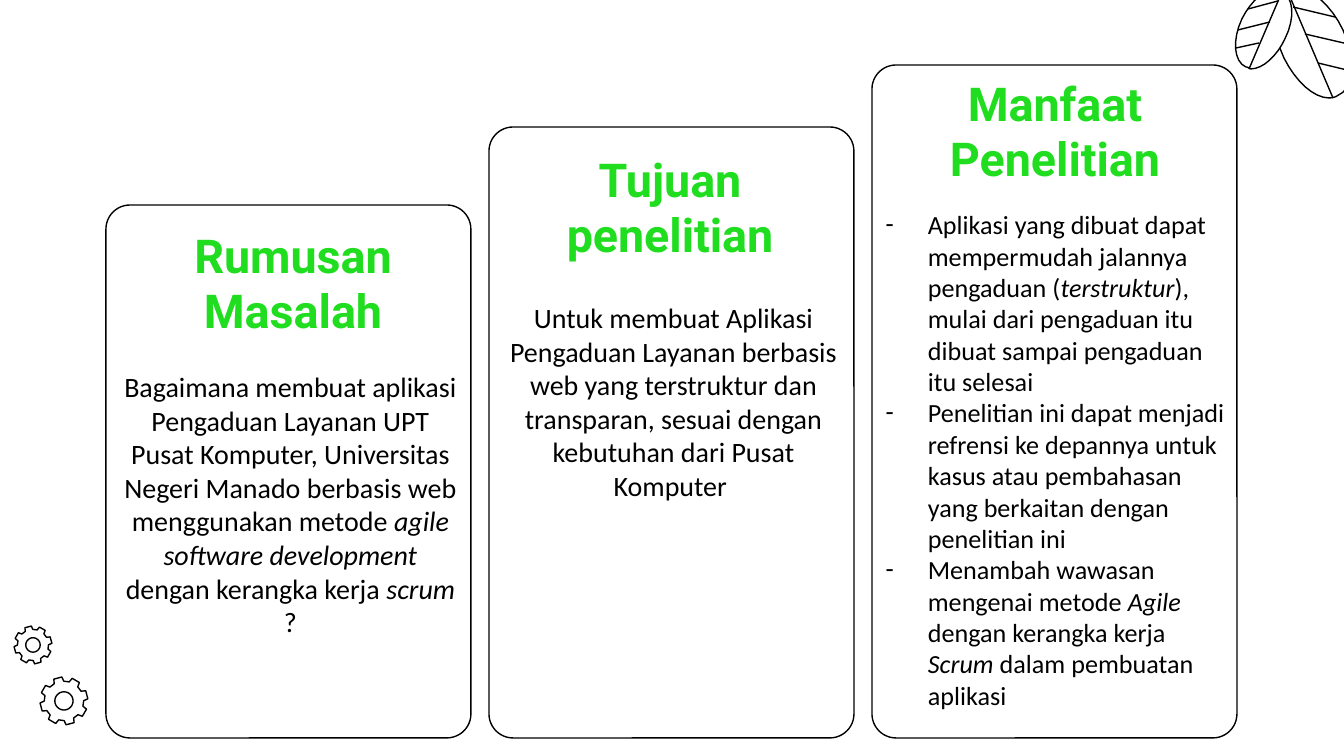
import math
from lxml import etree
from pptx import Presentation
from pptx import util as u
from pptx.dml.color import RGBColor
from pptx.enum import shapes, text
from pptx.oxml.ns import qn

BLACK = RGBColor(0, 0, 0)
WHITE = RGBColor(255, 255, 255)
GREEN = RGBColor(0x20, 0xDD, 0x20)
EMU = 914400 / 134.4
CARD_W, CARD_PITCH, CARD_BOTTOM = 365, 383, 738
TITLE_H = 136


def px(n):
    return u.Emu(round(n * EMU))


def scaled(points):
    return [(x * EMU, y * EMU) for x, y in points]


def bezier(points, steps=8):
    out = [points[0]]
    for i in range(0, len(points) - 1, 3):
        a, b, c, d = points[i:i + 4]
        for k in range(1, steps + 1):
            t = k / steps
            v = 1 - t
            out.append(tuple(v**3 * a[j] + 3 * v * v * t * b[j] + 3 * v * t * t * c[j] + t**3 * d[j]
                             for j in (0, 1)))
    return out


def polar(cx, cy, r, deg):
    return cx + r * math.cos(math.radians(deg)), cy + r * math.sin(math.radians(deg))


class Deck:
    title = dict(name="Roboto", size=u.Pt(25), bold=True)
    line_width = u.Pt(0.75)

    def __init__(self, w, h):
        self.prs = Presentation()
        self.prs.slide_width, self.prs.slide_height = px(w), px(h)
        self.s = self.prs.slides.add_slide(self.prs.slide_layouts[6])

    def style(self, sp, fill=WHITE):
        sp.shadow.inherit = False
        if fill is None:
            sp.fill.background()
        else:
            sp.fill.solid()
            sp.fill.fore_color.rgb = fill
        sp.line.color.rgb = BLACK
        sp.line.width = self.line_width

    def outline(self, *contours, fill=WHITE):
        first, *others = [scaled(c) for c in contours]
        fb = self.s.shapes.build_freeform(*first[0], scale=1.0)
        fb.add_line_segments(first[1:], close=True)
        for c in others:
            fb.move_to(*c[0])
            fb.add_line_segments(c[1:], close=True)
        self.style(fb.convert_to_shape(), fill)

    def line(self, x1, y1, x2, y2):
        cn = self.s.shapes.add_connector(shapes.MSO_CONNECTOR.STRAIGHT, px(x1), px(y1), px(x2), px(y2))
        cn.line.color.rgb = BLACK
        cn.line.width = self.line_width
        etree.SubElement(cn._element.spPr, qn("a:effectLst"))

    def leaf(self, edge, veins):
        self.outline(bezier(edge))
        for vein in veins:
            self.line(*vein)

    def gear(self, cx, cy, r):
        profile = ((-14.5, 0.82), (-10, 1), (10, 1), (14.5, 0.82))
        teeth = [polar(cx, cy, r * k, 45 * n - 15 + a) for n in range(8) for a, k in profile]
        hole = [polar(cx, cy, r * 0.38, a) for a in range(0, 360, 15)]
        self.outline(teeth, hole, fill=None)

    def card(self, x, y):
        sp = self.s.shapes.add_shape(shapes.MSO_SHAPE.ROUNDED_RECTANGLE,
                                     px(x), px(y), px(CARD_W), px(CARD_BOTTOM - y))
        sp.adjustments[0] = 0.066
        self.style(sp)

    def font(self, r, color, fmt):
        for k, v in fmt.items():
            setattr(r.font, k, v)
        r.font.color.rgb = color

    def clear_cell(self, cell):
        for side in ("left", "right", "top", "bottom"):
            setattr(cell, "margin_" + side, u.Inches(0.1))
        cell.vertical_anchor = text.MSO_ANCHOR.MIDDLE
        tcPr = cell._tc.get_or_add_tcPr()
        for tag in ("a:lnL", "a:lnR", "a:lnT", "a:lnB"):
            etree.SubElement(etree.SubElement(tcPr, qn(tag)), qn("a:noFill"))
        cell.fill.background()

    def heading(self, x, y, row_heights, words):
        tbl = self.s.shapes.add_table(len(row_heights), 1, px(x), px(y),
                                      px(CARD_W - 1), px(sum(row_heights))).table
        tbl.first_row = tbl.horz_banding = False
        for row, h in zip(tbl.rows, row_heights):
            row.height = px(h)
            self.clear_cell(row.cells[0])
        p = tbl.cell(len(row_heights) - 1, 0).text_frame.paragraphs[0]
        p.alignment = text.PP_ALIGN.CENTER
        r = p.add_run()
        r.text = words
        self.font(r, GREEN, self.title)

    def body(self, x, y, w, h, size, paragraphs, bullets=False):
        tf = self.s.shapes.add_textbox(px(x), px(y), px(w), px(h)).text_frame
        tf.word_wrap = True
        tf.auto_size = text.MSO_AUTO_SIZE.SHAPE_TO_FIT_TEXT
        for i, runs in enumerate(paragraphs):
            p = tf.add_paragraph() if i else tf.paragraphs[0]
            if bullets:
                self.bullet(p)
            else:
                p.alignment = text.PP_ALIGN.CENTER
            for n, words in enumerate(runs):
                r = p.add_run()
                r.text = words
                self.font(r, BLACK, dict(name="Calibri", size=u.Pt(size), italic=n % 2 == 1))

    def bullet(self, p):
        pPr = p._p.get_or_add_pPr()
        indent = u.Inches(0.31)
        pPr.set("marL", str(indent))
        pPr.set("indent", str(-indent))
        clr = etree.SubElement(pPr, qn("a:buClr"))
        etree.SubElement(clr, qn("a:srgbClr")).set("val", str(BLACK))
        etree.SubElement(pPr, qn("a:buFont")).set("typeface", "Roboto")
        etree.SubElement(pPr, qn("a:buChar")).set("char", "-")


deck = Deck(1344, 756)

deck.leaf([(1329, 98), (1332, 98), (1336, 97), (1337, 96), (1355, 89), (1356, 59), (1343, 30),
           (1331, 5), (1312, -11), (1297, -11), (1294, -11), (1291, -9), (1289, -8),
           (1271, 0), (1270, 28), (1284, 58), (1296, 82), (1314, 98), (1329, 98)],
          [(1293, 7, 1335, 17), (1305, 34, 1348, 44), (1318, 63, 1351, 71), (1333, 98, 1288, -8)])
deck.leaf([(1251, 69), (1250, 69), (1248, 67), (1246, 67), (1234, 62), (1232, 40), (1242, 19),
           (1251, 1), (1265, -11), (1275, -11), (1278, -11), (1280, -9), (1282, -9),
           (1293, -3), (1296, 17), (1285, 39), (1277, 56), (1263, 69), (1251, 69)],
          [(1278, 1, 1248, 9), (1270, 22, 1238, 30), (1259, 43, 1236, 48), (1249, 69, 1282, -8)])
deck.gear(64, 701, 24)
deck.gear(33, 645, 19)

for i, top in enumerate((205, 127, 65)):
    deck.card(106 + i * CARD_PITCH, top)

for x, y, row_heights, words in ((111, 63, (77, 77, TITLE_H), "Rumusan Masalah"),
                                 (488, 141, (TITLE_H,), "Tujuan penelitian"),
                                 (873, -95, (80, 80, TITLE_H), "Manfaat Penelitian")):
    deck.heading(x, y, row_heights, words)

deck.body(110, 363, 361, 285, 15, [
    ["Bagaimana membuat aplikasi Pengaduan Layanan UPT Pusat Komputer, Universitas Negeri Manado "
     "berbasis web menggunakan metode ", "agile software development ", "dengan kerangka kerja ",
     "scrum ", "?"]])
deck.body(494, 294, 359, 251, 15, [
    ["Untuk membuat Aplikasi Pengaduan Layanan berbasis web yang terstruktur dan transparan, "
     "sesuai dengan kebutuhan dari Pusat Komputer "]])
deck.body(873, 202, 374, 552, 14, [
    ["Aplikasi yang dibuat dapat mempermudah jalannya pengaduan (", "terstruktur",
     "), mulai dari pengaduan itu dibuat sampai pengaduan itu selesai"],
    ["Penelitian ini dapat menjadi refrensi ke depannya untuk kasus atau pembahasan "
     "yang berkaitan dengan penelitian ini"],
    ["Menambah wawasan mengenai metode ", "Agile ", "dengan kerangka kerja ", "Scrum ",
     "dalam pembuatan aplikasi"]], bullets=True)

deck.prs.save("out.pptx")
